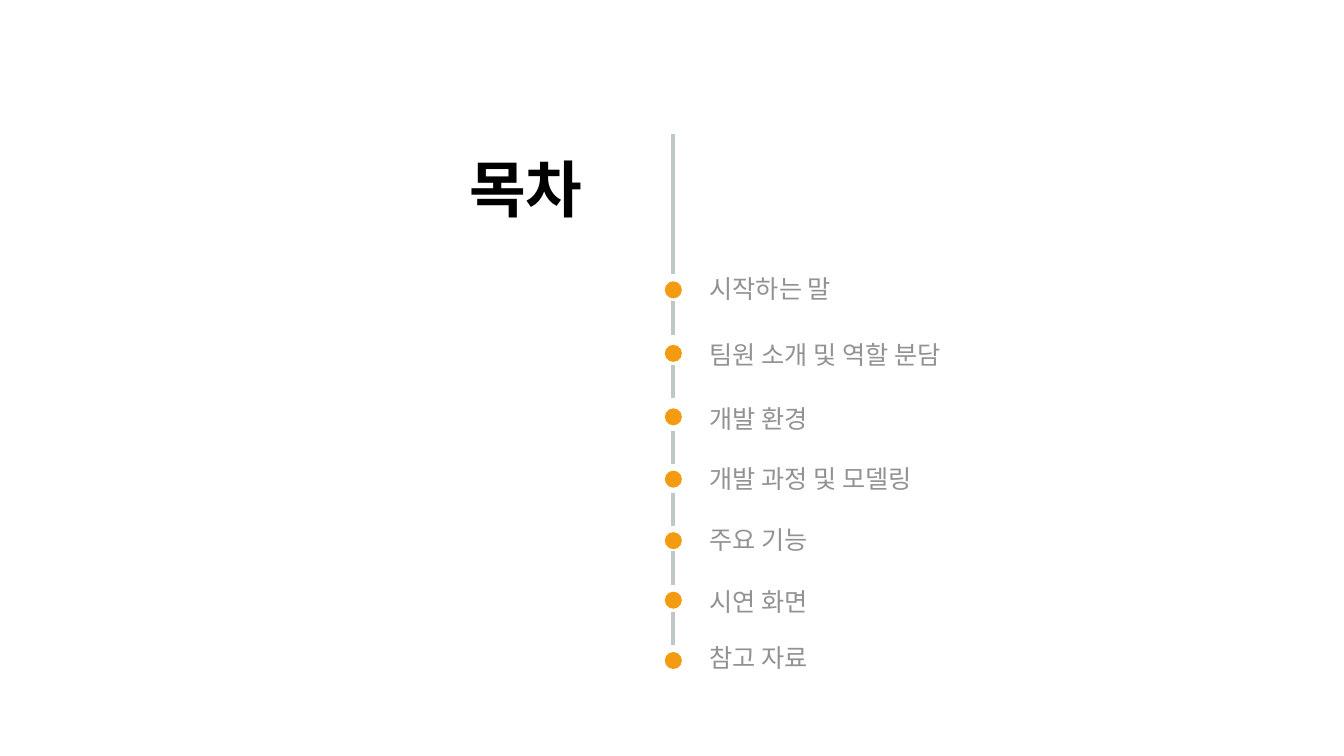
from lxml.etree import SubElement
from pptx import Presentation
from pptx.dml.color import RGBColor
from pptx.enum.shapes import MSO_CONNECTOR as Connector, MSO_SHAPE as Shape
from pptx.enum.text import MSO_AUTO_SIZE as AutoSize, PP_ALIGN as Align
from pptx.oxml.ns import qn
from pptx.util import Cm, Pt

FONT = "Noto Sans CJK KR"
ORANGE, LINE_GREY, TEXT_GREY, BLACK = "F39C12", "BFC7C7", "929292", "000000"

AXIS_X = 16.97
DOT_SIZE = 0.43
SEGMENT_LENGTH = 0.84

# Chapter, top of its dot, top of its label, start of the segment below (cm)
CHAPTERS = [
    ("시작하는 말", 7.09, 6.76, 7.59),
    ("팀원 소개 및 역할 분담", 8.69, 8.43, 9.19),
    ("개발 환경", 10.29, 10.03, 10.85),
    ("개발 과정 및 모델링", 11.86, 11.56, 12.42),
    ("주요 기능", 13.41, 13.08, 13.89),
    ("시연 화면", 14.91, 14.66, 15.42),
    ("참고 자료", 16.43, 16.05, None),
]


def colour(hex_code):
    return RGBColor.from_string(hex_code)


def add_dot(slide, top):
    dot = slide.shapes.add_shape(
        Shape.OVAL, Cm(AXIS_X - DOT_SIZE / 2), Cm(top), Cm(DOT_SIZE), Cm(DOT_SIZE))
    dot.shadow.inherit = False
    dot.fill.solid()
    dot.fill.fore_color.rgb = colour(ORANGE)
    dot.line.fill.background()


def add_segment(slide, start, end):
    segment = slide.shapes.add_connector(
        Connector.STRAIGHT, Cm(AXIS_X), Cm(start), Cm(AXIS_X), Cm(end))
    segment.line.color.rgb = colour(LINE_GREY)
    segment.line.width = Pt(3)
    SubElement(segment._element.spPr, qn("a:effectLst"))


def add_label(slide, words, left, top, width, height, size, hex_code,
              bold=False, align=Align.LEFT):
    label = slide.shapes.add_textbox(Cm(left), Cm(top), Cm(width), Cm(height))
    frame = label.text_frame
    frame.word_wrap = True
    frame.auto_size = AutoSize.SHAPE_TO_FIT_TEXT
    frame.text = words
    paragraph = frame.paragraphs[0]
    paragraph.alignment = align
    run = paragraph.runs[0]
    run.font.size = Pt(size)
    run.font.bold = bold
    run.font.color.rgb = colour(hex_code)
    run.font.name = FONT
    # Korean glyphs take the East Asian typeface
    SubElement(run.font._element, qn("a:ea")).set("typeface", FONT)


def main():
    deck = Presentation()
    deck.slide_width, deck.slide_height = Cm(33.87), Cm(19.05)
    slide = deck.slides.add_slide(deck.slide_layouts[6])

    # Timeline with one dot and label per chapter
    add_segment(slide, 3.38, 6.91)
    for chapter, dot_top, label_top, segment_start in CHAPTERS:
        add_dot(slide, dot_top)
        if segment_start is not None:
            add_segment(slide, segment_start, segment_start + SEGMENT_LENGTH)
        add_label(slide, chapter, 17.63, label_top, 10.03, 1.02, 18, TEXT_GREY)

    # Heading
    add_label(slide, "목차", 7.16, 3.68, 7.77, 2.13, 44, BLACK,
              bold=True, align=Align.RIGHT)

    deck.save("out.pptx")


if __name__ == "__main__":
    main()
